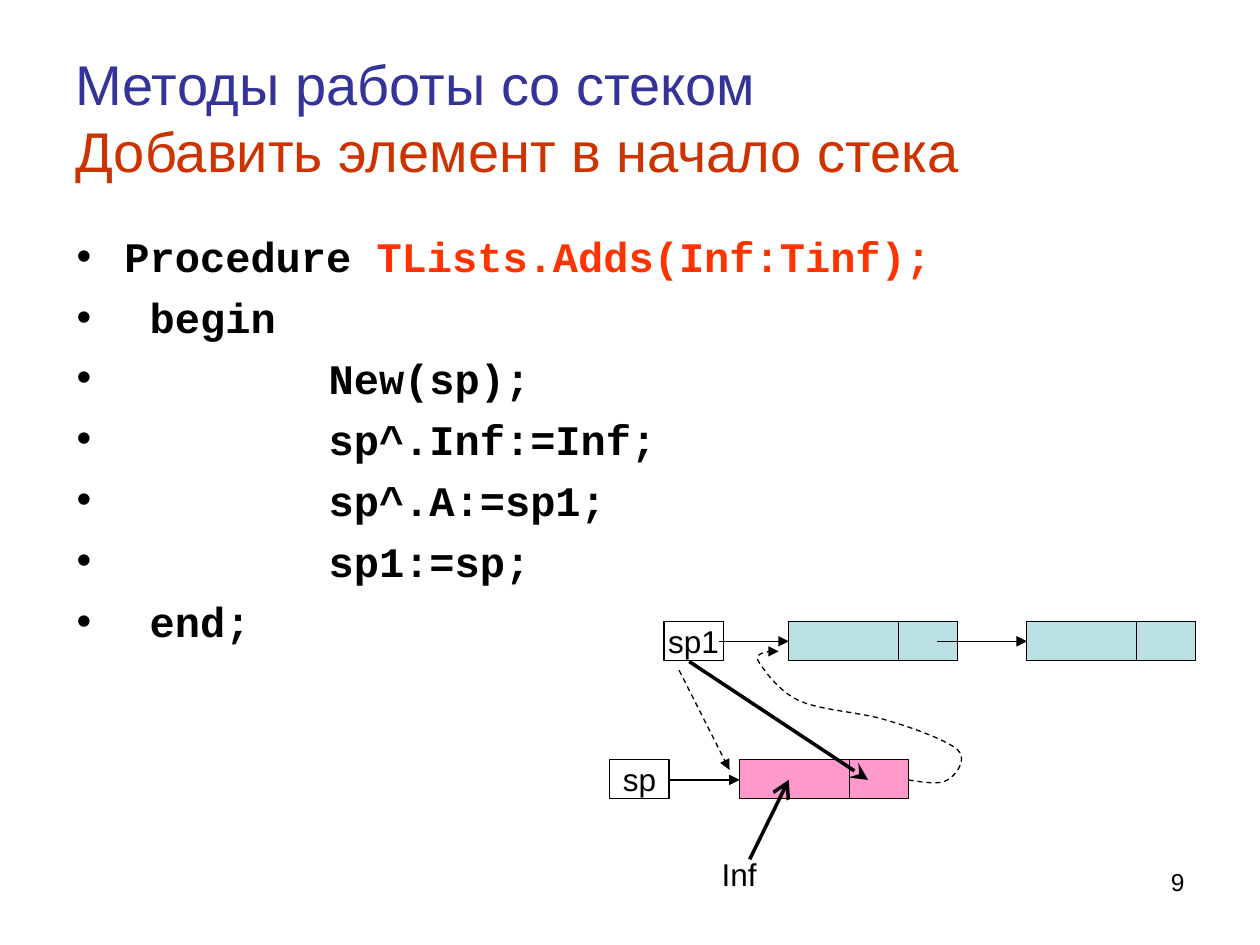
from lxml import etree
from pptx import Presentation
from pptx.dml.color import RGBColor
from pptx.enum.dml import MSO_LINE
from pptx.enum.shapes import MSO_CONNECTOR, MSO_SHAPE
from pptx.enum.text import MSO_ANCHOR, PP_ALIGN
from pptx.oxml.ns import qn
from pptx.util import Inches, Pt

DASH, STRAIGHT, RECTANGLE = MSO_LINE.DASH, MSO_CONNECTOR.STRAIGHT, MSO_SHAPE.RECTANGLE
LEFT, CENTER, RIGHT = PP_ALIGN.LEFT, PP_ALIGN.CENTER, PP_ALIGN.RIGHT
TOP, MIDDLE = MSO_ANCHOR.TOP, MSO_ANCHOR.MIDDLE

COLORS = {"title": "333399", "subtitle": "CC3300", "text": "000000",
          "signature": "FF3300", "old": "BBE0E3", "new": "FF99CC"}

# Each paragraph is a list of (text, color) runs.
TITLE = [[("Методы работы со стеком", "title")],
         [("Добавить элемент в начало стека", "subtitle")]]
CODE = [[("Procedure ", "text"), ("TLists.Adds(Inf:Tinf);", "signature")]] + [
    [(line, "text")] for line in (
        " begin", "\t\tNew(sp);", "\t\tsp^.Inf:=Inf;", "\t\tsp^.A:=sp1;", "\t\tsp1:=sp;", " end;")]

# Diagram grid, in inches
OLD_ROW, NEW_ROW = 4.93, 6.03
DATA_WIDTH, LINK_WIDTH, CELL_HEIGHT = 0.87, 0.47, 0.31
OLD_MIDDLE, NEW_MIDDLE = OLD_ROW + 0.16, NEW_ROW + 0.16
NODES = [(6.26, OLD_ROW, "old"), (8.15, OLD_ROW, "old"), (5.87, NEW_ROW, "new")]
POINTERS = [("sp1", 5.27, OLD_ROW), ("sp", 4.84, NEW_ROW)]

# start, end, width in points, head, head size, dash
ARROWS = [
    ((7.44, OLD_MIDDLE), (8.15, OLD_MIDDLE), 0.75, "triangle", "med", None),
    ((5.71, OLD_MIDDLE), (6.26, OLD_MIDDLE), 0.75, "triangle", "med", None),
    ((5.31, NEW_MIDDLE), (5.87, NEW_MIDDLE), 0.75, "triangle", "med", None),
    ((5.95, 6.82), (6.26, NEW_MIDDLE), 2, "arrow", "lg", None),
    ((5.47, 5.25), (6.89, NEW_MIDDLE), 2, "stealth", "lg", None),
    ((6.1, 5.17), (6.18, 5.17), 0.75, "triangle", "med", None),
    ((5.39, 5.32), (5.79, 6.11), 0.75, "triangle", "med", DASH),
]
LINK_START = (7.21, 6.19)
LINK_CURVES = [  # two control points and an end point each
    ((7.33, 6.21), (7.46, 6.23), (7.52, 6.19)),
    ((7.59, 6.15), (7.68, 6.03), (7.6, 5.95)),
    ((7.52, 5.88), (7.26, 5.78), (7.05, 5.72)),
    ((6.84, 5.65), (6.51, 5.64), (6.34, 5.56)),
    ((6.17, 5.48), (6.06, 5.31), (6.02, 5.25)),
    ((5.98, 5.18), (6.09, 5.18), (6.1, 5.17)),
]
CURVE_STEPS = 10


def color(name):
    return RGBColor.from_string(COLORS[name])


def add_bullet(paragraph):
    """Give a paragraph a hanging bullet and tab stops one inch apart."""
    properties = paragraph._p.get_or_add_pPr()
    properties.set("marL", str(Inches(0.38)))
    properties.set("indent", str(-Inches(0.38)))
    etree.SubElement(properties, qn("a:buFont")).set("typeface", "Arial")
    etree.SubElement(properties, qn("a:buChar")).set("char", "•")
    tabs = etree.SubElement(properties, qn("a:tabLst"))
    for inch in range(1, 9):
        tab = etree.SubElement(tabs, qn("a:tab"))
        tab.set("pos", str(Inches(inch)))
        tab.set("algn", "l")


def write(shape, paragraphs, size=18, font="Arial", bold=False, align=LEFT,
          anchor=TOP, wrap=True, bullets=False, space=0):
    frame = shape.text_frame
    frame.word_wrap = wrap
    frame.vertical_anchor = anchor
    for index, runs in enumerate(paragraphs):
        paragraph = frame.add_paragraph() if index else frame.paragraphs[0]
        if bullets:
            add_bullet(paragraph)
        paragraph.alignment = align
        if index:
            paragraph.space_before = Pt(space)
        for text, color_name in runs:
            run = paragraph.add_run()
            run.text = text
            run.font.size, run.font.name, run.font.bold = Pt(size), font, bold
            run.font.color.rgb = color(color_name)


def add_text(slide, box, paragraphs, **text_format):
    write(slide.shapes.add_textbox(*map(Inches, box)), paragraphs, **text_format)


def outline(shape, width=0.75, dash=None):
    shape.line.color.rgb = color("text")
    shape.line.width = Pt(width)
    if dash:
        shape.line.dash_style = dash


def add_cell(slide, left, top, width, fill=None):
    cell = slide.shapes.add_shape(RECTANGLE, *map(Inches, (left, top, width, CELL_HEIGHT)))
    cell.shadow.inherit = False
    if fill:
        cell.fill.solid()
        cell.fill.fore_color.rgb = color(fill)
    else:
        cell.fill.background()
    outline(cell)
    return cell


def add_arrow(slide, start, end, width, head, head_size, dash):
    arrow = slide.shapes.add_connector(STRAIGHT, *map(Inches, start + end))
    outline(arrow, width, dash)
    tail = etree.SubElement(arrow.line._get_or_add_ln(), qn("a:tailEnd"))
    for key, value in (("type", head), ("w", head_size), ("len", head_size)):
        tail.set(key, value)
    etree.SubElement(arrow._element.spPr, qn("a:effectLst"))


def curve_points(start, curves):
    """Points along a chain of cubic Bézier curves, in EMU."""
    points = [tuple(map(Inches, start))]
    for first, second, end in curves:
        for step in range(1, CURVE_STEPS + 1):
            t = step / CURVE_STEPS
            weights = ((1 - t) ** 3, 3 * t * (1 - t) ** 2, 3 * t ** 2 * (1 - t), t ** 3)
            points.append(tuple(
                Inches(sum(w * p[axis] for w, p in zip(weights, (start, first, second, end))))
                for axis in (0, 1)))
        start = end
    return points


def add_link_curve(slide):
    first, *others = curve_points(LINK_START, LINK_CURVES)
    builder = slide.shapes.build_freeform(*first)
    builder.add_line_segments(others, close=False)
    curve = builder.convert_to_shape()
    curve.shadow.inherit = False
    curve.fill.background()
    outline(curve, dash=DASH)


def main():
    presentation = Presentation()
    presentation.slide_width, presentation.slide_height = Inches(10), Inches(7.5)
    slide = presentation.slides.add_slide(presentation.slide_layouts[6])

    add_text(slide, (0.5, 0.3, 9, 1.25), TITLE, size=32, anchor=MIDDLE)
    add_text(slide, (0.51, 1.78, 9, 3.47), CODE, size=24, font="Courier New",
             bold=True, bullets=True, space=6)
    for left, top, fill in NODES:
        add_cell(slide, left, top, DATA_WIDTH, fill)
        add_cell(slide, left + DATA_WIDTH, top, LINK_WIDTH, fill)
    for name, left, top in POINTERS:
        write(add_cell(slide, left, top, LINK_WIDTH), [[(name, "text")]],
              align=CENTER, anchor=MIDDLE, wrap=False)
    add_text(slide, (5.63, 6.74, 0.63, 0.4), [[("Inf", "text")]])
    for arrow in ARROWS:
        add_arrow(slide, *arrow)
    add_link_curve(slide)
    add_text(slide, (7.17, 6.83, 2.33, 0.52), [[("9", "text")]], size=14, align=RIGHT)
    presentation.save("out.pptx")


if __name__ == "__main__":
    main()
